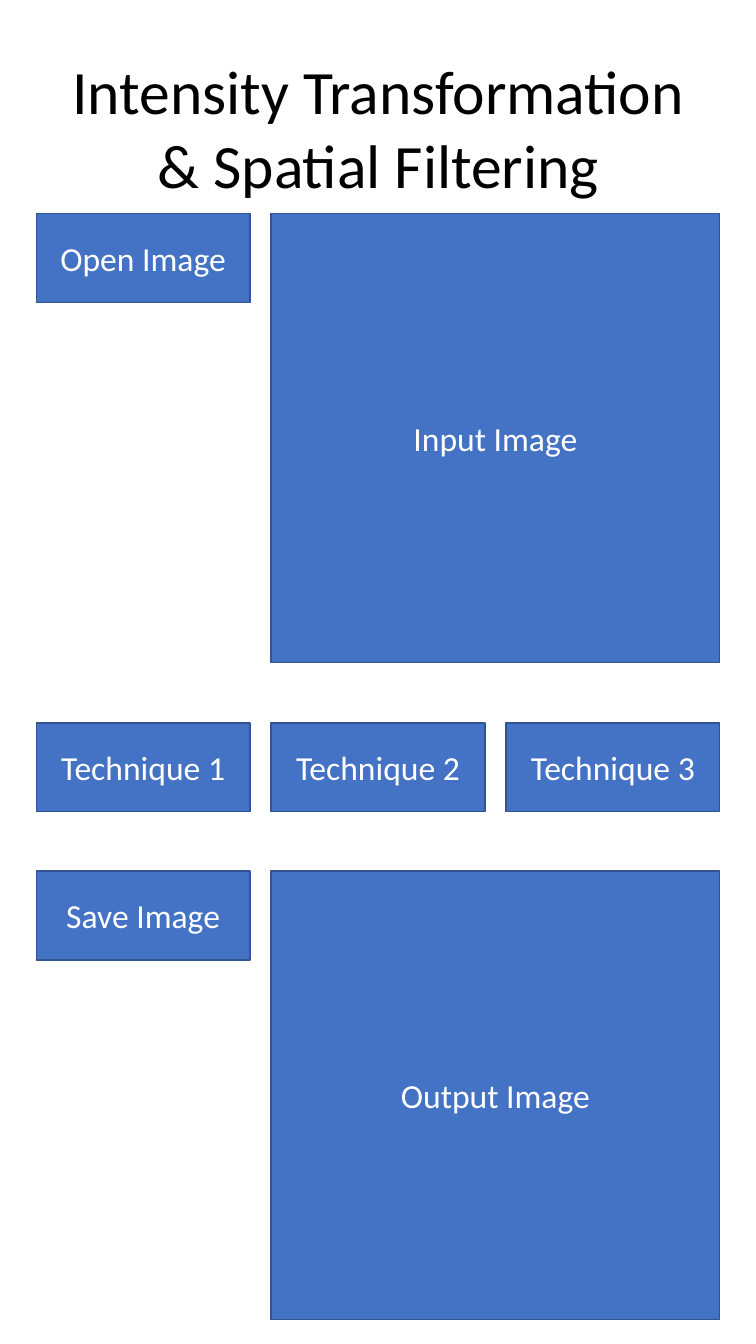
from dataclasses import dataclass

from pptx import Presentation
from pptx.dml.color import RGBColor
from pptx.enum.shapes import MSO_SHAPE
from pptx.enum.text import MSO_ANCHOR, MSO_AUTO_SIZE, PP_ALIGN
from pptx.util import Inches, Pt


@dataclass(frozen=True)
class Theme:
    """Colours, font and type sizes."""
    font: str = "Calibri"
    fill: RGBColor = RGBColor(0x44, 0x72, 0xC4)
    line: RGBColor = RGBColor(0x32, 0x54, 0x91)
    title: RGBColor = RGBColor(0, 0, 0)
    label: RGBColor = RGBColor(0xFF, 0xFF, 0xFF)
    title_size: int = 44
    label_size: int = 24
    line_width: int = 1


class SlideBuilder:
    """Adds styled elements to one slide."""

    def __init__(self, s, theme):
        """Keep the slide and its theme."""
        self.s = s
        self.theme = theme

    def set_text(self, tf, text, size, color):
        """Fill a text frame with one centred paragraph."""
        tf.word_wrap = True
        p = tf.paragraphs[0]
        p.text = text
        p.alignment = PP_ALIGN.CENTER
        p.font.name = self.theme.font
        p.font.size = Pt(size)
        p.font.color.rgb = color

    def title(self, text, left, top, width, height):
        """Add the title text box."""
        sp = self.s.shapes.add_textbox(
            Inches(left), Inches(top), Inches(width), Inches(height))
        self.set_text(sp.text_frame, text, self.theme.title_size, self.theme.title)
        sp.text_frame.auto_size = MSO_AUTO_SIZE.SHAPE_TO_FIT_TEXT

    def box(self, text, left, top, width, height):
        """Add a labelled rectangle."""
        sp = self.s.shapes.add_shape(
            MSO_SHAPE.RECTANGLE,
            Inches(left), Inches(top), Inches(width), Inches(height))
        sp.shadow.inherit = False
        sp.fill.solid()
        sp.fill.fore_color.rgb = self.theme.fill
        sp.line.color.rgb = self.theme.line
        sp.line.width = Pt(self.theme.line_width)
        sp.text_frame.vertical_anchor = MSO_ANCHOR.MIDDLE
        self.set_text(sp.text_frame, text, self.theme.label_size, self.theme.label)


BUTTON_W, BUTTON_H = 2.12, 0.88
PANEL = 4.45
COLUMNS = [0.36 + 2.33 * i for i in range(3)]
INPUT_TOP, TECHNIQUE_TOP, OUTPUT_TOP = 2.12, 7.17, 8.64

prs = Presentation()
prs.slide_width, prs.slide_height = Inches(7.5), Inches(13.33)
slide = SlideBuilder(prs.slides.add_slide(prs.slide_layouts[6]), Theme())

slide.title("Intensity Transformation & Spatial Filtering", COLUMNS[0], 0.48, 6.79, 1.58)

for button, panel, top in [("Open Image", "Input Image", INPUT_TOP),
                           ("Save Image", "Output Image", OUTPUT_TOP)]:
    slide.box(button, COLUMNS[0], top, BUTTON_W, BUTTON_H)
    slide.box(panel, COLUMNS[1], top, PANEL, PANEL)

for number, left in enumerate(COLUMNS, start=1):
    slide.box(f"Technique {number}", left, TECHNIQUE_TOP, BUTTON_W, BUTTON_H)

prs.save("out.pptx")
